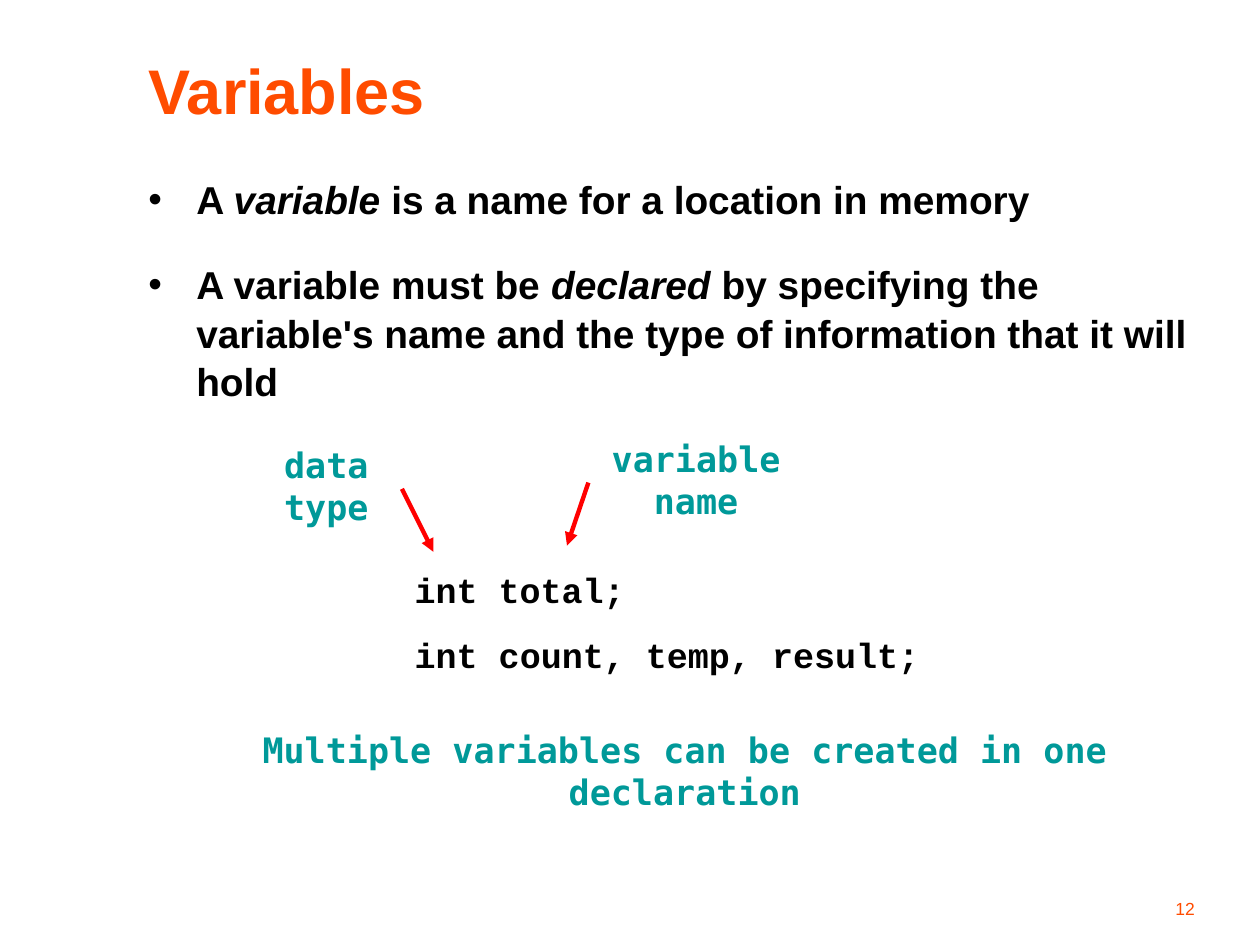
from lxml import etree
from pptx import Presentation
from pptx.dml.color import RGBColor
from pptx.enum.shapes import MSO_CONNECTOR
from pptx.enum.text import MSO_ANCHOR, PP_ALIGN
from pptx.oxml.ns import qn
from pptx.util import Inches, Pt

LEFT, MID, RIGHT = PP_ALIGN.LEFT, PP_ALIGN.CENTER, PP_ALIGN.RIGHT
TOP, CENTER, BASE = MSO_ANCHOR.TOP, MSO_ANCHOR.MIDDLE, MSO_ANCHOR.BOTTOM
LINE = MSO_CONNECTOR.STRAIGHT


def paint(color, tone):
    color.rgb = RGBColor.from_string(tone)


def write(para, text, look, tone):
    run = para.add_run()
    run.text = text
    for key, value in look.items():
        setattr(run.font, key, value)
    run.font.fill.solid()
    paint(run.font.fill.fore_color, tone)


deck = Presentation()
deck.slide_width, deck.slide_height = Inches(10), Inches(7.5)
slide = deck.slides.add_slide(deck.slide_layouts[6])

head = {"name": "Arial", "size": Pt(36), "bold": True}
body = {"name": "Arial", "size": Pt(22.2), "bold": True}
code = {"name": "Courier New", "size": Pt(20), "bold": True}
note = {"name": "DejaVu Sans Mono", "size": Pt(20), "bold": True}
foot = {"name": "Arial", "size": Pt(10), "bold": False}

labels = [
    ("Variables", (1.08, 0.33, 8.67, 0.75), head, "FF4C00", LEFT, CENTER, True),
    ("int total;", (3.19, 4.46, 1.87, 0.44), code, "000000", MID, TOP, False),
    ("int count, temp, result;", (3.19, 4.98, 4.21, 0.44), code, "000000", MID, TOP, False),
    ("Multiple variables can be created in one declaration",
     (1.73, 5.73, 7.41, 0.44), note, "009999", MID, TOP, True),
    ("data type", (1.83, 3.47, 1.52, 0.44), note, "009999", MID, TOP, True),
    ("variable name", (4.43, 3.42, 2.19, 0.44), note, "009999", MID, TOP, True),
    ("12", (7.5, 6.92, 2.08, 0.42), foot, "FF4C00", RIGHT, BASE, True),
]
for text, area, look, tone, align, anchor, wrap in labels:
    frame = slide.shapes.add_textbox(*map(Inches, area)).text_frame
    frame.word_wrap = wrap
    frame.vertical_anchor = anchor
    para = frame.paragraphs[0]
    para.alignment = align
    write(para, text, look, tone)

points = [
    [("A ", False), ("variable", True), (" is a name for a location in memory", False)],
    [("A variable must be ", False), ("declared", True),
     (" by specifying the variable's name and the type of information that it will hold", False)],
]
frame = slide.shapes.add_textbox(Inches(1.08), Inches(1.33), Inches(8.67), Inches(1.85)).text_frame
frame.word_wrap = True
for i, point in enumerate(points):
    para = frame.add_paragraph() if i else frame.paragraphs[0]
    para.space_before = Pt(21)
    para.line_spacing = 1.04
    props = para._p.get_or_add_pPr()
    props.set("marL", str(Inches(0.38)))
    props.set("indent", str(-Inches(0.38)))
    etree.SubElement(props, qn("a:buFont"), typeface="Arial")
    etree.SubElement(props, qn("a:buChar"), char="•")
    for text, slant in point:
        write(para, text, {**body, "italic": slant}, "000000")

for ends in [(3.19, 3.88, 3.44, 4.38), (4.67, 3.83, 4.5, 4.33)]:
    arrow = slide.shapes.add_connector(LINE, *map(Inches, ends))
    arrow.line.width = Pt(2.5)
    paint(arrow.line.color, "FF0000")
    etree.SubElement(arrow.line._get_or_add_ln(), qn("a:tailEnd"), type="triangle")
    etree.SubElement(arrow._element.spPr, qn("a:effectLst"))

deck.save("out.pptx")
